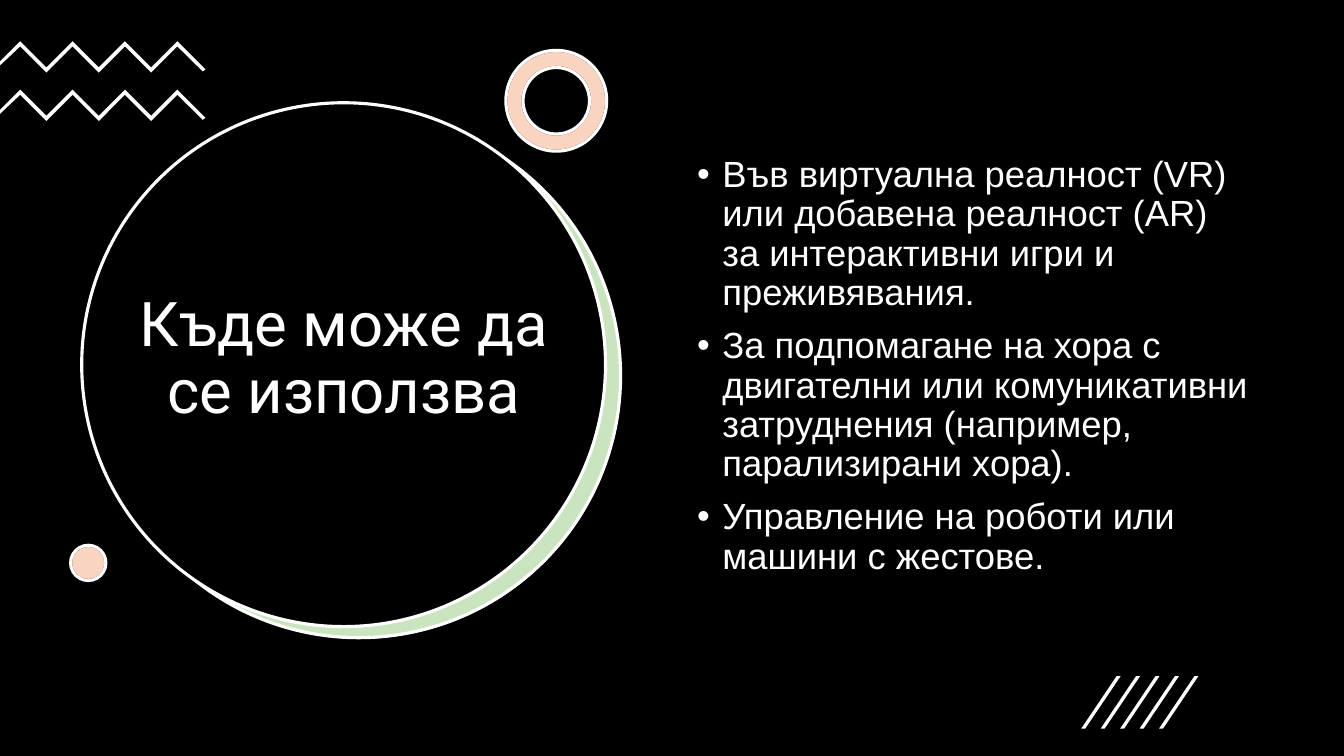
from lxml import etree
from pptx import Presentation
from pptx.dml.color import RGBColor
from pptx.enum.shapes import MSO_SHAPE
from pptx.enum.text import MSO_ANCHOR, PP_ALIGN
from pptx.oxml.ns import qn
from pptx.util import Cm, Pt

RECT, OVAL, DONUT = MSO_SHAPE.RECTANGLE, MSO_SHAPE.OVAL, MSO_SHAPE.DONUT
MIDDLE, TOP, CENTER = MSO_ANCHOR.MIDDLE, MSO_ANCHOR.TOP, PP_ALIGN.CENTER
BLACK = RGBColor(0x00, 0x00, 0x00)
WHITE = RGBColor(0xFF, 0xFF, 0xFF)
GREEN = RGBColor(0x4E, 0xA7, 0x2E)
ORANGE = RGBColor(0xE9, 0x71, 0x32)

TITLE = "Къде може да се използва"
USES = [
    "Във виртуална реалност (VR) или добавена реалност (AR) за интерактивни игри и преживявания.",
    "За подпомагане на хора с двигателни или комуникативни затруднения (например, парализирани хора).",
    "Управление на роботи или машини с жестове.",
]

SLIDE_W, SLIDE_H = 33.87, 19.05
DISC = 13.2
TITLE_BOX = (3.07, 4.6, 11.2, 8.94)
USES_BOX = (17.32, 3.81, 14.5, 12.09)
RING_BOX = (12.75, 1.27, 2.54, 2.54)
RING_BAND = 0.17
DOT_BOX = (1.78, 13.74, 0.89, 0.89)

ZIGZAG_TOPS = (1.04, 2.26)
ZIGZAG_X, ZIGZAG_STEP, ZIGZAG_TURNS, ZIGZAG_BAND = 0.51, 0.66, 7, 0.13
SLASH_X, SLASH_Y, SLASH_GAP, SLASH_COUNT = 27.25, 17.04, 0.49, 5
SLASH_W, SLASH_H, SLASH_BAND = 0.99, 1.32, 0.1


def paint(sp, fill, line=None, alpha=None):
    sp.shadow.inherit = False
    sp.fill.solid()
    sp.fill.fore_color.rgb = fill
    if alpha:
        color = sp.fill._xPr.find(qn("a:solidFill"))[0]
        etree.SubElement(color, qn("a:alpha"), val=str(alpha * 1000))
    if line is None:
        sp.line.fill.background()
    else:
        sp.line.color.rgb = line
        sp.line.width = Pt(2.25)


def add_preset(s, kind, box, fill, line=None, alpha=None):
    sp = s.shapes.add_shape(kind, *[Cm(v) for v in box])
    paint(sp, fill, line, alpha)
    return sp


def add_outline(s, points):
    points = [(Cm(x), Cm(y)) for x, y in points]
    builder = s.shapes.build_freeform(*points[0], scale=1.0)
    builder.add_line_segments(points[1:], close=True)
    paint(builder.convert_to_shape(), WHITE)


def format_text(tf, anchor, size, font):
    tf.word_wrap = True
    tf.vertical_anchor = anchor
    for p in tf.paragraphs:
        p.line_spacing = 0.9
        for r in p.runs:
            r.font.size = Pt(size)
            r.font.name = font
            r.font.color.rgb = WHITE


def add_bullet(p):
    pPr = p._p.get_or_add_pPr()
    pPr.set("marL", str(Cm(0.635)))
    pPr.set("indent", str(-Cm(0.635)))
    etree.SubElement(pPr, qn("a:buFont"), typeface="Arial")
    etree.SubElement(pPr, qn("a:buChar"), char="•")


def add_title(s):
    title = s.shapes.title
    title.left, title.top, title.width, title.height = [Cm(v) for v in TITLE_BOX]
    title.text_frame.text = TITLE
    title.text_frame.paragraphs[0].alignment = CENTER
    format_text(title.text_frame, MIDDLE, 44, "Roboto")
    s.shapes[-1]._element.addnext(title._element)


def add_uses(s):
    tf = s.shapes.add_textbox(*[Cm(v) for v in USES_BOX]).text_frame
    tf.text = "\n".join(USES)
    format_text(tf, TOP, 26, "Arial")
    for i, p in enumerate(tf.paragraphs):
        p.space_before = Pt(10 if i else 0)
        add_bullet(p)


def add_zigzag(s, top):
    turns = [(ZIGZAG_X + i * ZIGZAG_STEP, top + i % 2 * ZIGZAG_STEP)
             for i in range(ZIGZAG_TURNS)]
    lower = [(x, y + ZIGZAG_BAND) for x, y in reversed(turns)]
    right_end = [(5.18, top + 0.71), (5.11, top + 0.76)]
    left_end = [(0, top + 0.61), (0, top + 0.51)]
    add_outline(s, turns + right_end + lower + left_end)


def add_slash(s, x):
    bottom = SLASH_Y + SLASH_H
    add_outline(s, [(x, bottom), (x + SLASH_W - SLASH_BAND, SLASH_Y),
                    (x + SLASH_W, SLASH_Y), (x + SLASH_BAND, bottom)])


def main():
    prs = Presentation()
    prs.slide_width, prs.slide_height = Cm(SLIDE_W), Cm(SLIDE_H)
    s = prs.slides.add_slide(prs.slide_layouts[5])

    add_preset(s, RECT, (0, 0, SLIDE_W, SLIDE_H), BLACK)
    add_preset(s, OVAL, (2.46, 2.9, DISC, DISC), WHITE)
    add_preset(s, OVAL, (2.44, 2.87, DISC, DISC), GREEN, WHITE, 30)
    add_preset(s, OVAL, (2.06, 2.59, DISC, DISC), BLACK, WHITE)
    add_title(s)

    for top in ZIGZAG_TOPS:
        add_zigzag(s, top)
    for kind, box in ((DONUT, RING_BOX), (OVAL, DOT_BOX)):
        for fill, line, alpha in ((WHITE, BLACK, None), (ORANGE, WHITE, 30)):
            sp = add_preset(s, kind, box, fill, line, alpha)
            if kind == DONUT:
                sp.adjustments[0] = RING_BAND

    add_uses(s)
    for i in range(SLASH_COUNT):
        add_slash(s, SLASH_X + i * SLASH_GAP)
    prs.save("out.pptx")


if __name__ == "__main__":
    main()
